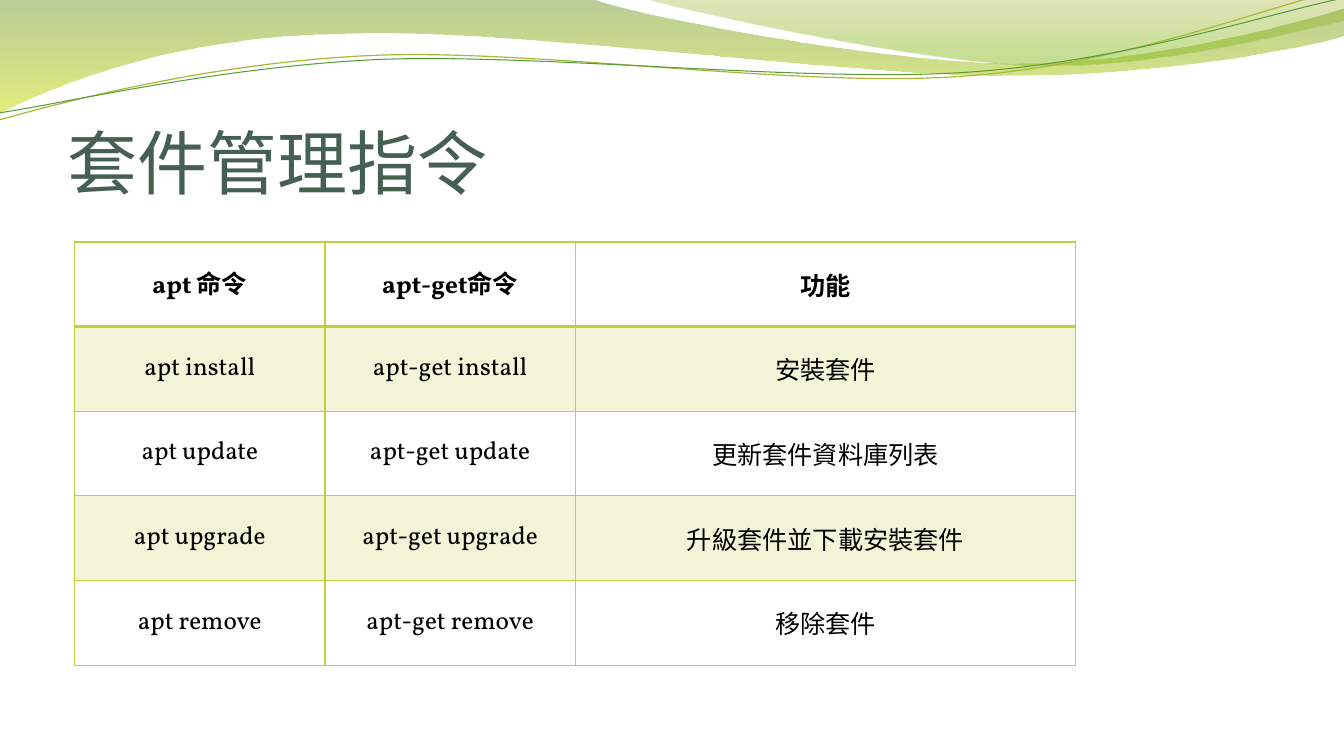
from lxml.etree import SubElement
from pptx import Presentation
from pptx.dml.color import RGBColor
from pptx.enum.text import MSO_ANCHOR as Anchor, PP_ALIGN as Align
from pptx.oxml.ns import qn
from pptx.util import Inches, Pt

LIME = "C0CF3A"
CJK_FONT = "Noto Sans CJK TC"
COMMANDS = [
    ("apt 命令", "apt-get命令", "功能"),
    ("apt install", "apt-get install", "安裝套件"),
    ("apt update", "apt-get update", "更新套件資料庫列表"),
    ("apt upgrade", "apt-get upgrade", "升級套件並下載安裝套件"),
    ("apt remove", "apt-get remove", "移除套件"),
]
BROAD_WAVE = [
    (0, 0), (5.87, -0.01), (6.34, 0.17, 8.84, 0.63, 10.11, 0.63),
    (11.37, 0.63, 12.77, 0.26, 13.33, 0.09), (13.34, 0.36),
    (13.11, 0.44, 11.59, 0.76, 9.94, 0.75), (8.29, 0.75, 5.09, 0.28, 3.43, 0.34),
    (1.72, 0.36, 0.61, 0.83, -0.02, 1.13), (0, 0),
]
RIGHT_WAVE = [
    (6.38, -0.01), (6.79, 0.11, 9.09, 0.62, 10.25, 0.65),
    (11.4, 0.69, 12.82, 0.32, 13.33, 0.21), (13.33, 0), (6.38, -0.01),
]
OLIVE_STRAND = [
    (-0.01, 1.19), (0.63, 1.01, 2.1, 0.62, 3.69, 0.55),
    (5.27, 0.48, 7.89, 0.87, 9.49, 0.76), (11.1, 0.66, 12.51, 0.08, 13.3, -0.1),
]
GREEN_STRAND = [
    (-0.01, 1.12), (0.62, 1.03, 2.18, 0.66, 3.77, 0.59),
    (5.37, 0.53, 7.96, 0.82, 9.55, 0.72), (11.14, 0.62, 12.55, 0.14, 13.33, -0.02),
]


def paint(color, hex_value):
    color.rgb = RGBColor.from_string(hex_value)


def set_opacity(fill_xml, opacities):
    for color, opacity in zip(fill_xml.iter(qn("a:srgbClr")), opacities):
        SubElement(color, qn("a:alpha"), val=str(opacity * 1000))


def add_run(paragraph, text, size, font, color, bold=False):
    run = paragraph.add_run()
    run.text = text
    run.font.size = Pt(size)
    run.font.name = font
    run.font.bold = bold
    paint(run.font.color, color)
    SubElement(run._r.get_or_add_rPr(), qn("a:ea"), typeface=CJK_FONT)


def bend(outline, segments):
    steps = iter(list(outline._element.iter(qn("a:lnTo"))))
    for segment in segments[1:]:
        first = next(steps)
        if len(segment) == 2:
            continue
        first.tag = qn("a:cubicBezTo")
        for _ in range(2):
            following = next(steps)
            first.append(following[0])
            following.getparent().remove(following)


def add_outline(slide, left, top, segments, closed):
    points = [
        (Inches(left + x), Inches(top + y))
        for segment in segments
        for x, y in zip(segment[::2], segment[1::2])
    ]
    builder = slide.shapes.build_freeform(*points[0], scale=1.0)
    builder.add_line_segments(points[1:], close=closed)
    outline = builder.convert_to_shape()
    outline.shadow.inherit = False
    curves = outline._element.spPr.find(qn("a:custGeom")).find(qn("a:pathLst"))[0]
    for step in list(curves):
        if step.tag == qn("a:lnTo"):
            replacement = SubElement(curves, qn("a:lnTo"))
            replacement.append(step[0])
            curves.replace(step, replacement)
    bend(outline, segments)
    return outline


def add_waves(slide, left, top):
    for segments, stops in (
        (BROAD_WAVE, ((0, "69921C", 45), (1, "CCE10F", 55))),
        (RIGHT_WAVE, ((0, "9BAA1A", 30), (0.8, "81BA16", 45))),
    ):
        wave = add_outline(slide, left, top, segments, True)
        wave.line.fill.background()
        wave.fill.gradient()
        wave.fill.gradient_angle = 270
        for stop, (position, color, _) in zip(wave.fill.gradient_stops, stops):
            stop.position = position
            paint(stop.color, color)
        set_opacity(wave._element.spPr, [opacity for _, _, opacity in stops])
    for segments, color, width in (
        (OLIVE_STRAND, "A9B733", 0.85),
        (GREEN_STRAND, "549E39", 0.75),
    ):
        strand = add_outline(slide, left, top, segments, False)
        strand.fill.background()
        paint(strand.line.color, color)
        strand.line.width = Pt(width)


def add_title(slide, left, top, width, height):
    title = slide.shapes.title
    title.left, title.top = Inches(left), Inches(top)
    title.width, title.height = Inches(width), Inches(height)
    frame = title.text_frame
    frame.word_wrap = True
    frame.vertical_anchor = Anchor.BOTTOM
    frame.margin_left = frame.margin_right = frame.margin_bottom = 0
    frame.margin_top = Inches(0.05)
    heading = frame.paragraphs[0]
    heading.alignment = Align.LEFT
    add_run(heading, "套件管理指令", 50, CJK_FONT, "455F51")


def add_borders(cell, widths):
    properties = cell._tc.get_or_add_tcPr()
    for index, (side, width) in enumerate(widths.items()):
        border = properties.makeelement(qn("a:ln" + side), {"w": str(Pt(width))})
        SubElement(SubElement(border, qn("a:solidFill")), qn("a:srgbClr"), val=LIME)
        properties.insert(index, border)


def add_commands(slide, left, top, width, height):
    row_count = len(COMMANDS)
    table = slide.shapes.add_table(
        row_count, 3, Inches(left), Inches(top), Inches(width), Inches(height)
    ).table
    for column, share in zip(table.columns, (0.25, 0.25, 0.5)):
        column.width = Inches(width * share)
    for row, texts in enumerate(COMMANDS):
        table.rows[row].height = Inches(height / row_count)
        for column, text in enumerate(texts):
            cell = table.cell(row, column)
            cell.vertical_anchor = Anchor.MIDDLE
            paragraph = cell.text_frame.paragraphs[0]
            paragraph.alignment = Align.CENTER
            add_run(paragraph, text, 18, "Vollkorn", "000000", row == 0)
            if row % 2:
                cell.fill.solid()
                paint(cell.fill.fore_color, LIME)
                set_opacity(cell._tc.tcPr, [20])
            else:
                cell.fill.background()
            add_borders(cell, {"L": 1, "R": 1, "T": 1, "B": 1 if row else 2})


def build_command_slide(deck):
    slide = deck.slides.add_slide(deck.slide_layouts[5])
    add_waves(slide, 0, 0)
    add_title(slide, 0.67, 0.77, 12, 1.25)
    add_commands(slide, 0.74, 2.4, 9.93, 4.2)


deck = Presentation()
deck.slide_width, deck.slide_height = Inches(13.33), Inches(7.5)
build_command_slide(deck)
deck.save("out.pptx")
